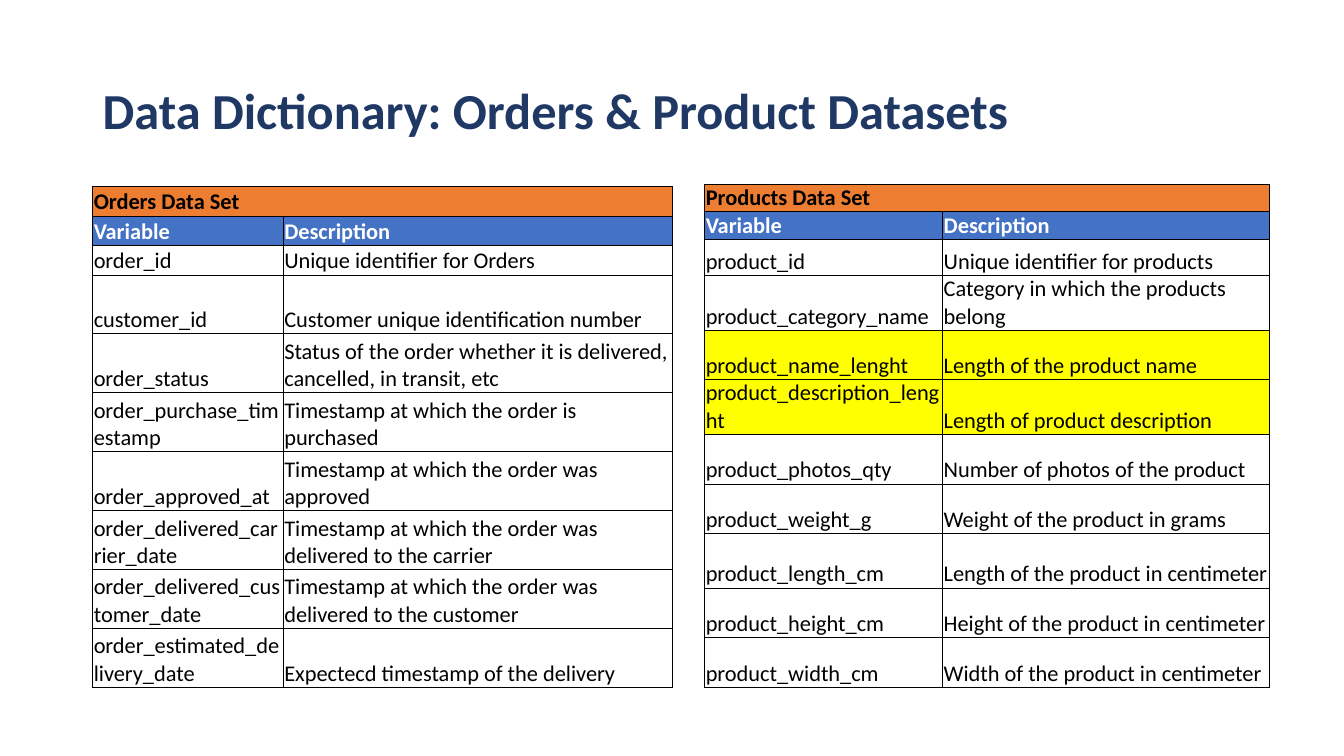
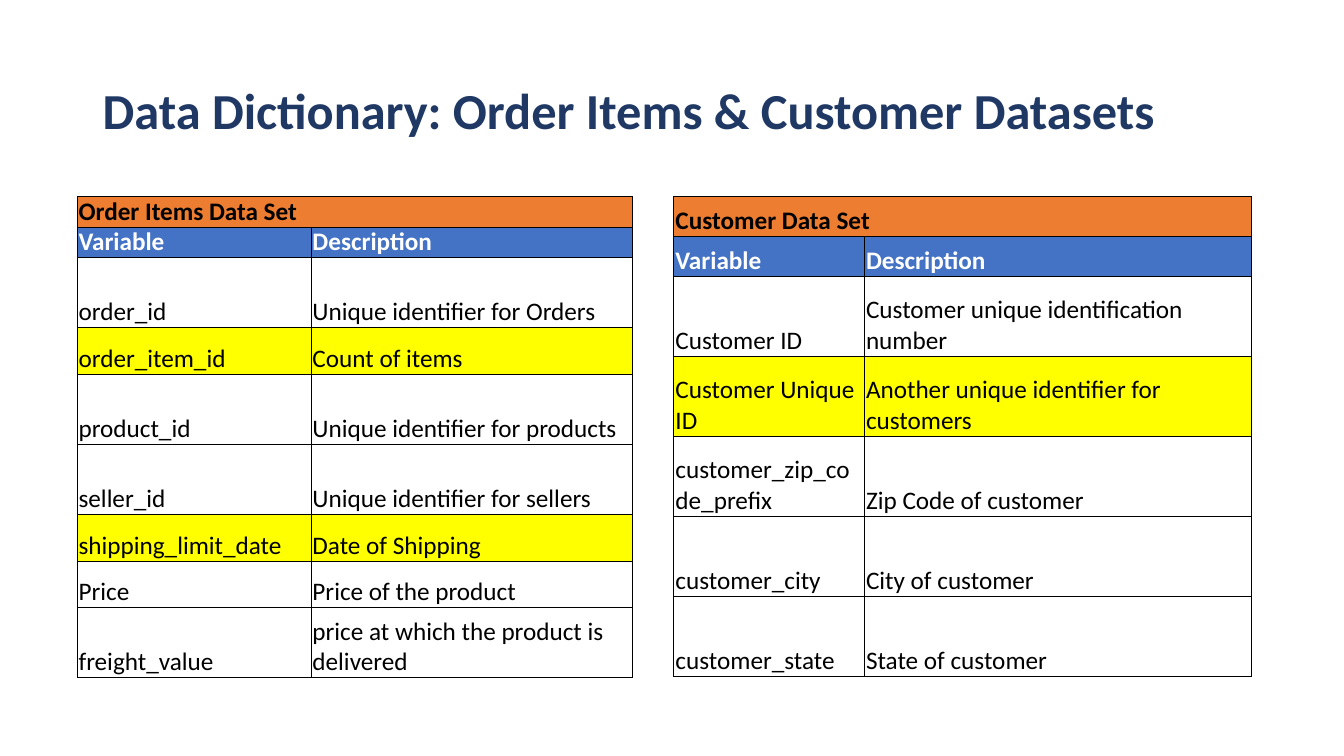
"""Build two data dictionary slides, each with a title and a pair of tables."""
from dataclasses import dataclass

from lxml import etree
from pptx import Presentation
from pptx.dml.color import RGBColor
from pptx.enum.text import MSO_ANCHOR
from pptx.oxml.ns import qn
from pptx.util import Inches, Pt

MIDDLE, BOTTOM = MSO_ANCHOR.MIDDLE, MSO_ANCHOR.BOTTOM


@dataclass(frozen=True)
class Theme:
    font: str = "Calibri"
    navy: str = "203864"
    black: str = "000000"
    white: str = "FFFFFF"
    orange: str = "ED7D31"
    blue: str = "4472C4"
    yellow: str = "FFFF00"
    title: int = 36
    spare: int = 8
    rule: float = 0.5


THEME = Theme()
SIZE = (13.33, 7.5)
TITLE_BOX = (0.92, 0.4, 11.5, 1.45)
HEADS = ("Variable", "Description")
SIDES = {"L": (0, -1), "R": (0, 1), "T": (-1, 0), "B": (1, 0)}
MARKED = {"product_name_lenght", "product_description_lenght",
          "order_item_id", "shipping_limit_date", "Customer Unique ID"}

ORDERS = dict(
    name="Orders Data Set", at=(0.92, 1.85), cols=(1.89, 3.86), height=4.97,
    shares=[1] * 3 + [2] * 7, size=16, inset=0.01,
    rows=[
        ("order_id", "Unique identifier for Orders"),
        ("customer_id", "Customer unique identification number"),
        ("order_status", "Status of the order whether it is delivered, cancelled, in transit, etc"),
        ("order_purchase_timestamp", "Timestamp at which the order is purchased"),
        ("order_approved_at", "Timestamp at which the order was approved"),
        ("order_delivered_carrier_date", "Timestamp at which the order was delivered to the carrier"),
        ("order_delivered_customer_date", "Timestamp at which the order was delivered to the customer"),
        ("order_estimated_delivery_date", "Expectecd timestamp of the delivery"),
    ])
PRODUCTS = dict(
    name="Products Data Set", at=(6.99, 1.66), cols=(2.36, 3.24), height=5.16,
    shares=[17, 27, 27, 36, 54, 49, 54, 49, 49, 54, 49, 49], size=16, inset=0.01, top=1,
    rows=[
        ("product_id", "Unique identifier for products"),
        ("product_category_name", "Category in which the products belong"),
        ("product_name_lenght", "Length of the product name"),
        ("product_description_lenght", "Length of product description"),
        ("product_photos_qty", "Number of photos of the product"),
        ("product_weight_g", "Weight of the product in grams"),
        ("product_length_cm", "Length of the product in centimeter"),
        ("product_height_cm", "Height of the product in centimeter"),
        ("product_width_cm", "Width of the product in centimeter"),
    ])
ITEMS = dict(
    name="Order Items Data Set", at=(0, 1.95), cols=(0.77, 2.32, 3.18), height=5.24,
    shares=[13, 13, 30, 20, 30, 30, 20, 20, 30, 10, 10], size=18, inset=0.01, left=1, foot=2,
    rows=[
        ("order_id", "Unique identifier for Orders"),
        ("order_item_id", "Count of items"),
        ("product_id", "Unique identifier for products"),
        ("seller_id", "Unique identifier for sellers"),
        ("shipping_limit_date", "Date of Shipping"),
        ("Price", "Price of the product"),
        ("freight_value", "price at which the product is delivered"),
    ])
CUSTOMERS = dict(
    name="Customer Data Set", at=(6.68, 1.95), cols=(1.89, 3.84), height=4.76,
    shares=[1] * 2 + [2] * 5, size=18, inset=0.02,
    rows=[
        ("Customer ID", "Customer unique identification number"),
        ("Customer Unique ID", "Another unique identifier for customers"),
        ("customer_zip_code_prefix", "Zip Code of customer"),
        ("customer_city", "City of customer"),
        ("customer_state", "State of customer"),
    ])
SLIDES = [
    ("Data Dictionary: Orders & Product Datasets", (ORDERS, PRODUCTS)),
    ("Data Dictionary: Order Items & Customer Datasets", (ITEMS, CUSTOMERS)),
]


def write(frame, text, size, color=THEME.black, bold=False, spacing=None):
    para = frame.paragraphs[0]
    para.line_spacing = spacing
    run = para.add_run()
    run.text = text
    font = run.font
    font.name, font.size, font.bold = THEME.font, Pt(size), bold
    font.color.rgb = RGBColor.from_string(color)


def add_title(slide, text):
    frame = slide.shapes.add_textbox(*map(Inches, TITLE_BOX)).text_frame
    frame.word_wrap = True
    frame.vertical_anchor = MIDDLE
    write(frame, text, THEME.title, color=THEME.navy, bold=True, spacing=0.9)


def style(cell, fill, inset, ruled):
    cell.margin_left = cell.margin_right = Inches(inset)
    cell.margin_top = cell.margin_bottom = 0
    cell.vertical_anchor = BOTTOM
    props = cell._tc.get_or_add_tcPr()
    for side in SIDES:
        line = etree.SubElement(props, qn(f"a:ln{side}"), w=str(Pt(THEME.rule)))
        if side in ruled:
            solid = etree.SubElement(line, qn("a:solidFill"))
            etree.SubElement(solid, qn("a:srgbClr"), val=THEME.black)
        else:
            etree.SubElement(line, qn("a:noFill"))
    if fill:
        cell.fill.solid()
        cell.fill.fore_color.rgb = RGBColor.from_string(fill)
    else:
        cell.fill.background()


def look(index, label):
    if index == 0:
        return THEME.orange, THEME.black, True
    if index == 1:
        return THEME.blue, THEME.white, True
    return THEME.yellow if label in MARKED else None, THEME.black, False


def add_grid(slide, data):
    body = [(data["name"], ""), HEADS, *data["rows"]]
    cols, height, shares = data["cols"], data["height"], data["shares"]
    top, left = data.get("top", 0), data.get("left", 0)
    count = top + len(body) + data.get("foot", 0)
    box = (*data["at"], sum(cols), height)
    table = slide.shapes.add_table(count, len(cols), *map(Inches, box)).table
    table.first_row = table.horz_banding = False
    for col, width in zip(table.columns, cols):
        col.width = Inches(width)
    for row, share in zip(table.rows, shares):
        row.height = Inches(height * share / sum(shares))

    def used(i, j):
        return top <= i < top + len(body) and left <= j < len(cols)

    for i in range(count):
        for j in range(len(cols)):
            cell = table.cell(i, j)
            ruled = [side for side, (down, over) in SIDES.items()
                     if used(i, j) or used(i + down, j + over)]
            text, fill, color, bold = "", None, THEME.black, False
            if used(i, j):
                texts = body[i - top]
                text = texts[j - left]
                fill, color, bold = look(i - top, texts[0])
            style(cell, fill, data["inset"], ruled)
            if text:
                write(cell.text_frame, text, data["size"], color=color, bold=bold)
            else:
                para = cell.text_frame.paragraphs[0]._p
                etree.SubElement(para, qn("a:endParaRPr"), sz=str(THEME.spare * 100))
    table.cell(top, left).merge(table.cell(top, len(cols) - 1))


def main():
    deck = Presentation()
    deck.slide_width, deck.slide_height = map(Inches, SIZE)
    for title, grids in SLIDES:
        slide = deck.slides.add_slide(deck.slide_layouts[6])
        add_title(slide, title)
        for data in grids:
            add_grid(slide, data)
    deck.save("out.pptx")


if __name__ == "__main__":
    main()
